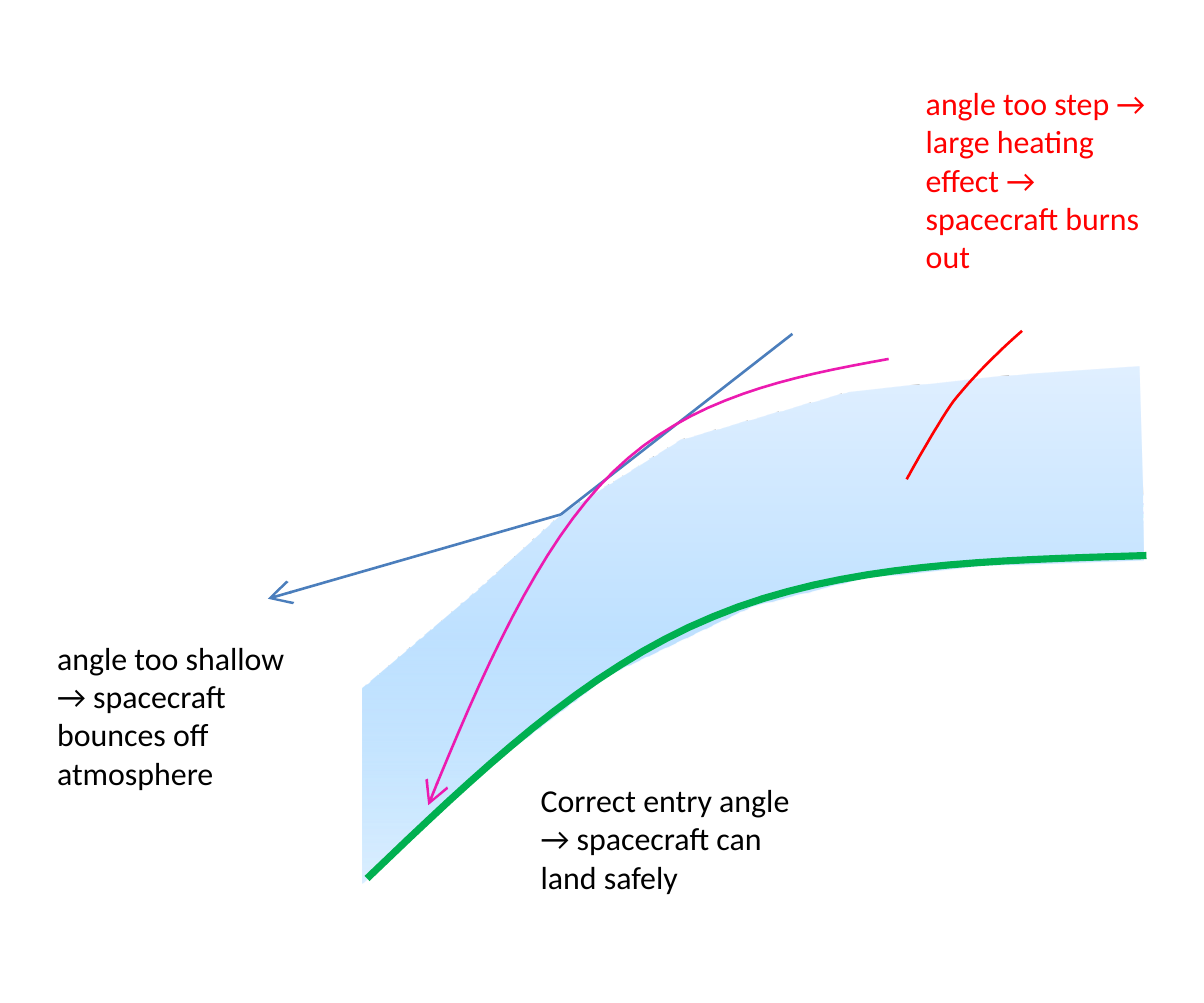
from dataclasses import dataclass

from lxml.etree import SubElement
from pptx import Presentation
from pptx.dml.color import RGBColor
from pptx.enum.shapes import MSO_CONNECTOR as Link
from pptx.oxml.ns import qn
from pptx.util import Cm, Pt


@dataclass(frozen=True)
class Theme:
    font: str = "Calibri"
    text_size: float = 9
    text: str = "000000"
    shallow: str = "4B7EBC"
    steep: str = "FF0000"
    correct: str = "EC1AB0"
    ground: str = "00B050"
    thin: float = 0.75
    thick: float = 2
    # position %, colour, opacity %
    air: tuple = ((0, "96D0FF", 34), (50, "BFE1FF", 100), (100, "E0EFFF", 100))


THEME = Theme()
CURVE_STEPS = 16

# Points in cm from the corner of the diagram
BOUNCE = (2.99, 1.83)
AIR_EDGE = [
    (1.01, 3.56), (1.01, 5.51), (2.3, 4.32), (3.47, 3.43), (4.89, 2.75),
    (5.99, 2.47), (7.26, 2.34), (8.8, 2.29), (8.75, 0.36), (7.64, 0.43),
    (5.86, 0.61), (4.18, 1.09), BOUNCE, (2.15, 2.59),
]
GROUND = [(8.83, 2.24), (7.31, 2.29), (5.81, 2.31), (4.51, 2.85),
          (3.22, 3.38), (2.15, 4.42), (1.06, 5.46)]
STEEP_PATH = [(7.59, 0), (7.33, 0.23), (7.1, 0.46), (6.9, 0.71),
              (6.72, 0.97), (6.44, 1.48), (6.44, 1.48)]
CORRECT_PATH = [(6.26, 0.28), (5.27, 0.46), (4.28, 0.66), (3.52, 1.4),
                (2.76, 2.14), (2.2, 3.43), (1.67, 4.73)]
SHALLOW_START, SHALLOW_END = (5.3, 0.03), (0.07, 2.67)


def curve_points(controls):
    """Points along cubic Bézier pieces that share their end points."""
    points = [controls[0]]
    for first in range(0, len(controls) - 1, 3):
        piece = controls[first:first + 4]
        for step in range(1, CURVE_STEPS + 1):
            t = step / CURVE_STEPS
            weights = ((1 - t) ** 3, 3 * t * (1 - t) ** 2, 3 * t * t * (1 - t), t ** 3)
            points.append(tuple(sum(w * point[axis] for w, point in zip(weights, piece))
                                for axis in (0, 1)))
    return points


def place(box, point):
    return Cm(box[0] + point[0]), Cm(box[1] + point[1])


def add_outline(slide, box, points, close):
    start, *rest = [place(box, point) for point in points]
    builder = slide.shapes.build_freeform(*start)
    builder.add_line_segments(rest, close=close)
    outline = builder.convert_to_shape()
    outline.shadow.inherit = False
    return outline


def style_line(stroke, color, width, arrow=False):
    stroke.line.color.rgb = RGBColor.from_string(color)
    stroke.line.width = Pt(width)
    if arrow:
        SubElement(stroke.element.spPr.find(qn("a:ln")), qn("a:tailEnd"), type="arrow")


def add_curve(slide, box, controls, color, width, arrow=False):
    curve = add_outline(slide, box, curve_points(controls), close=False)
    curve.fill.background()
    style_line(curve, color, width, arrow)


def add_straight(slide, box, start, end, color, arrow):
    straight = slide.shapes.add_connector(Link.STRAIGHT, *place(box, start), *place(box, end))
    style_line(straight, color, THEME.thin, arrow)
    SubElement(straight.element.spPr, qn("a:effectLst"))


def draw_atmosphere(slide, box):
    air = add_outline(slide, box, AIR_EDGE, close=True)
    air.line.fill.background()
    air.fill.gradient()
    air.fill.gradient_angle = 90
    stops = air.element.spPr.find(qn("a:gradFill")).find(qn("a:gsLst"))
    for stop in list(stops):
        stops.remove(stop)
    for position, color, opacity in THEME.air:
        stop = SubElement(stops, qn("a:gs"), pos=str(position * 1000))
        tint = SubElement(stop, qn("a:srgbClr"), val=color)
        if opacity < 100:
            SubElement(tint, qn("a:alpha"), val=str(opacity * 1000))
    add_curve(slide, box, GROUND, THEME.ground, THEME.thick)


def draw_trajectories(slide, box):
    add_straight(slide, box, SHALLOW_START, BOUNCE, THEME.shallow, arrow=False)
    add_straight(slide, box, BOUNCE, SHALLOW_END, THEME.shallow, arrow=True)
    add_curve(slide, box, STEEP_PATH, THEME.steep, THEME.thin)
    add_curve(slide, box, CORRECT_PATH, THEME.correct, THEME.thin, arrow=True)


def add_caption(slide, box, wording, color):
    frame = slide.shapes.add_textbox(*map(Cm, box)).text_frame
    frame.word_wrap = True
    frame.text = wording
    font = frame.paragraphs[0].runs[0].font
    for name, value in {"name": THEME.font, "size": Pt(THEME.text_size)}.items():
        setattr(font, name, value)
    font.color.rgb = RGBColor.from_string(color)


def build_entry_angles(slide, diagram):
    draw_atmosphere(slide, diagram)
    draw_trajectories(slide, diagram)
    for box, wording, color in (
        ((0.32, 6.24, 2.82, 1.8),
         "angle too shallow → spacecraft bounces off atmosphere", THEME.text),
        ((8.98, 0.71, 2.9, 2.18),
         "angle too step → large heating effect → spacecraft burns out", THEME.steep),
        ((5.14, 7.66, 3.25, 1.42),
         "Correct entry angle → spacecraft can land safely", THEME.text),
    ):
        add_caption(slide, box, wording, color)


def main():
    deck = Presentation()
    # 12 × 10 cm, rounded to quarter points
    deck.slide_width, deck.slide_height = Pt(340.25), Pt(283.5)
    slide = deck.slides.add_slide(deck.slide_layouts[6])
    build_entry_angles(slide, diagram=(2.6, 3.3))
    deck.save("out.pptx")


if __name__ == "__main__":
    main()
